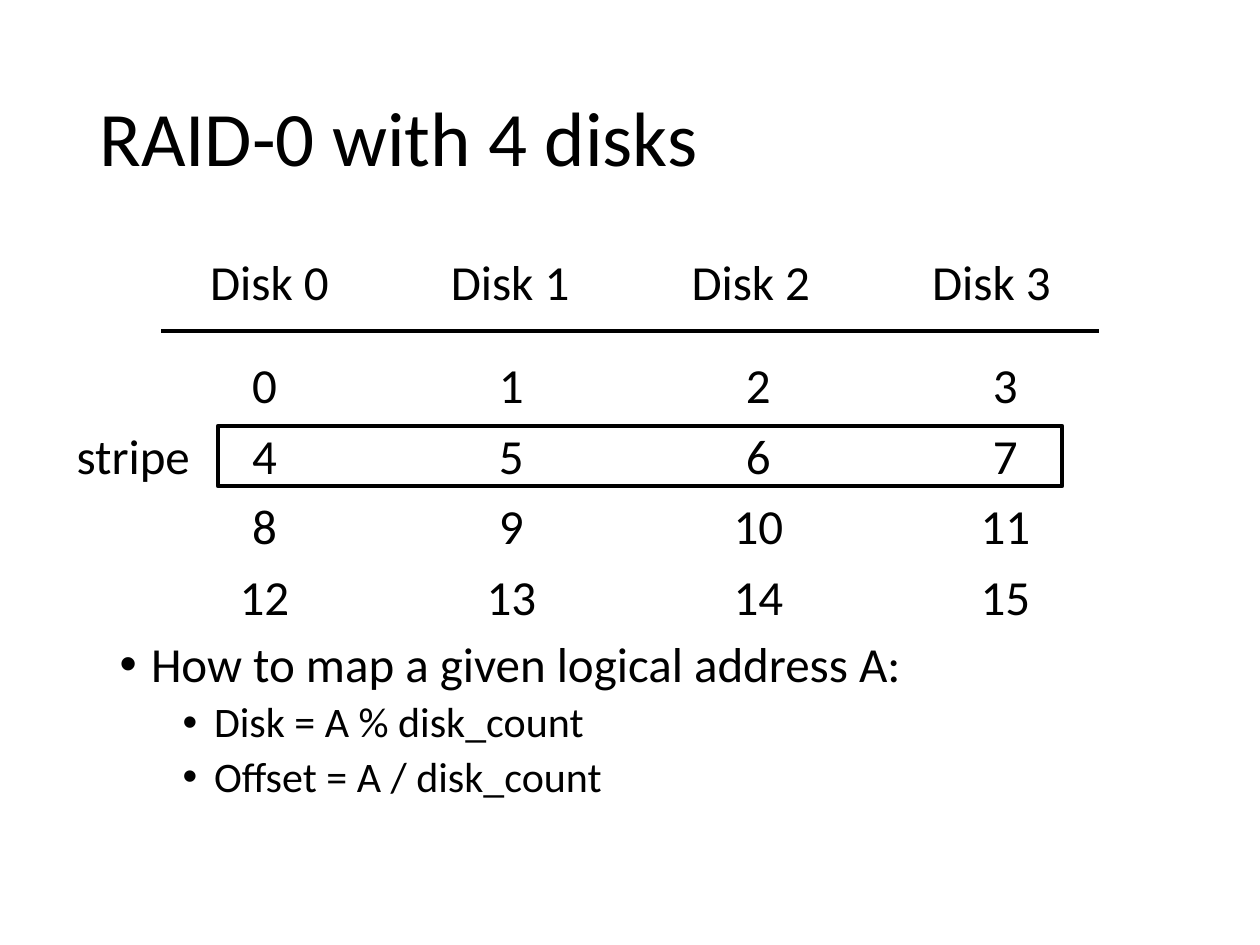
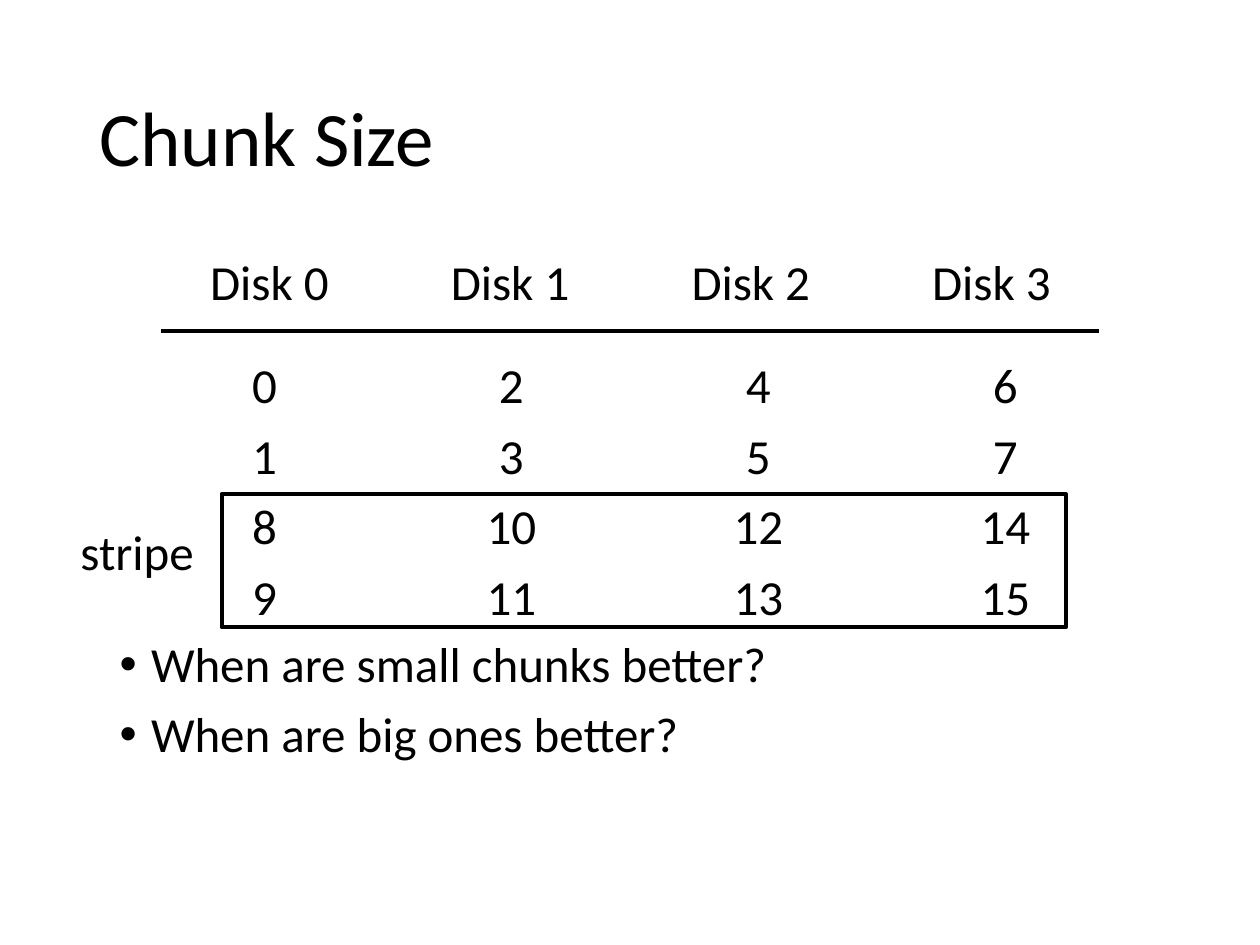
from lxml.etree import SubElement
from pptx import Presentation
from pptx.dml.color import RGBColor
from pptx.enum.shapes import MSO_CONNECTOR, MSO_SHAPE
from pptx.enum.text import MSO_ANCHOR
from pptx.oxml.ns import qn
from pptx.util import Inches, Pt

INK = "000000"
FONT = "Calibri"
BODY_SIZE, SUB_SIZE, TITLE_SIZE = 28, 24, 44
RULE_WIDTH = 2.25

# Boxes are left, top, width, height on a grid of 100 columns by 75 rows.
COLUMNS, ROWS = 100, 75
TITLE_BOX = (6.9, 4, 86.2, 14.5)
TABLE_BOX = (6.9, 20, 86.2, 47.6)
BULLET_BOX = (8.5, 50.3, 86.2, 18.9)
INSET = 1          # default text inset, in columns
RULE_INDENT = 5.9  # header rule, in from both sides of the table box
RULE_DROP = 6.3    # header rule, below the top of the table box
HEAD_TABS = (14.5, 19.1)  # first column centre and pitch, from the box
ROW_TABS = (14.1, 19.6)

prs = Presentation()
prs.slide_width, prs.slide_height = Inches(10), Inches(7.5)


def col(n):
    """Length of n grid columns."""
    return int(prs.slide_width * n / COLUMNS)


def row(n):
    """Length of n grid rows."""
    return int(prs.slide_height * n / ROWS)


def place(box):
    """Turn a grid box into slide lengths."""
    x, y, w, h = box
    return col(x), row(y), col(w), row(h)


def color(hex_code):
    """Colour from a hex string."""
    return RGBColor.from_string(hex_code)


def set_all(obj, values):
    """Set attributes of an object from a dict."""
    for name, value in values.items():
        setattr(obj, name, value)


def add_text_frame(s, box, **values):
    """Add a text box and return its text frame."""
    tf = s.shapes.add_textbox(*place(box)).text_frame
    set_all(tf, {"word_wrap": True, **values})
    return tf


def add_line_of_text(tf, text, size=BODY_SIZE, **values):
    """Write a paragraph, using the empty first one when it is free."""
    p = tf.paragraphs[0]
    if p.runs:
        p = tf.add_paragraph()
    set_all(p, values)
    r = p.add_run()
    r.text = text
    set_all(r.font, {"name": FONT, "size": Pt(size)})
    r.font.color.rgb = color(INK)
    return p


def add_title(s, box, text):
    """Slide title, centred vertically in its box."""
    tf = add_text_frame(s, box, vertical_anchor=MSO_ANCHOR.MIDDLE)
    add_line_of_text(tf, text, TITLE_SIZE, line_spacing=0.9)


def add_tabbed_row(tf, cells, tabs, space):
    """One row of cells, each centred on its own tab stop."""
    p = add_line_of_text(tf, "".join(f"\t{c}" for c in cells),
                         line_spacing=0.9, space_before=Pt(space))
    first, pitch = tabs
    tab_list = SubElement(p._p.get_or_add_pPr(), qn("a:tabLst"))
    for i in range(len(cells)):
        position = col(first + i * pitch - INSET)
        SubElement(tab_list, qn("a:tab"), pos=str(position), algn="ctr")


def add_disk_layout(s, box, rows):
    """Disk headings over a rule, then the blocks held by each disk."""
    tf = add_text_frame(s, box)
    add_tabbed_row(tf, [f"Disk {i}" for i in range(4)], HEAD_TABS, 10)
    for i, cells in enumerate(rows):
        add_tabbed_row(tf, cells, ROW_TABS, 10 if i else 28.8)
    x, y, w, _ = box
    rule_y = row(y + RULE_DROP)
    line = s.shapes.add_connector(
        MSO_CONNECTOR.STRAIGHT, col(x + RULE_INDENT), rule_y,
        col(x + w - RULE_INDENT), rule_y)
    set_all(line.line, {"width": Pt(RULE_WIDTH)})
    line.line.color.rgb = color(INK)
    SubElement(line._element.spPr, qn("a:effectLst"))


def add_stripe(s, box, label_top):
    """Outline around one stripe, with its label on the left."""
    sp = s.shapes.add_shape(MSO_SHAPE.RECTANGLE, *place(box))
    sp.shadow.inherit = False
    sp.fill.background()
    sp.line.color.rgb = color(INK)
    sp.line.width = Pt(RULE_WIDTH)
    label_box = (box[0] - 12.2, label_top, 11.1, 5.7)
    add_line_of_text(add_text_frame(s, label_box, word_wrap=False), "stripe")


def add_bullets(s, box, items):
    """Bulleted list of (level, text) items."""
    tf = add_text_frame(s, box)
    for level, text in items:
        p = add_line_of_text(tf, text, SUB_SIZE if level else BODY_SIZE,
                             level=level, line_spacing=0.9,
                             space_before=Pt(5 if level else 10))
        pPr = p._p.get_or_add_pPr()
        pPr.set("marL", str(Inches(0.25 + 0.5 * level)))
        pPr.set("indent", str(Inches(-0.25)))
        SubElement(pPr, qn("a:buFont"), typeface="Arial")
        SubElement(pPr, qn("a:buChar"), char="•")


def add_raid_slide(title, rows, stripe_box, label_top, bullets):
    """Slide with a disk layout, one marked stripe and bullets below."""
    s = prs.slides.add_slide(prs.slide_layouts[6])
    add_title(s, TITLE_BOX, title)
    add_disk_layout(s, TABLE_BOX, rows)
    add_stripe(s, stripe_box, label_top)
    add_bullets(s, BULLET_BOX, bullets)


def block_rows(chunk):
    """Block numbers by row for 4 disks, with chunk blocks per chunk."""
    return [[(r // chunk * 4 + disk) * chunk + r % chunk
             for disk in range(4)] for r in range(4)]


add_raid_slide("RAID-0 with 4 disks", block_rows(1),
               (17.3, 33.8, 67, 4.8), 33.3,
               [(0, "How to map a given logical address A:"),
                (1, "Disk = A % disk_count"),
                (1, "Offset = A / disk_count")])
add_raid_slide("Chunk Size", block_rows(2),
               (17.6, 39.2, 67, 10.6), 40.9,
               [(0, "When are small chunks better?"),
                (0, "When are big ones better?")])

prs.save("out.pptx")
